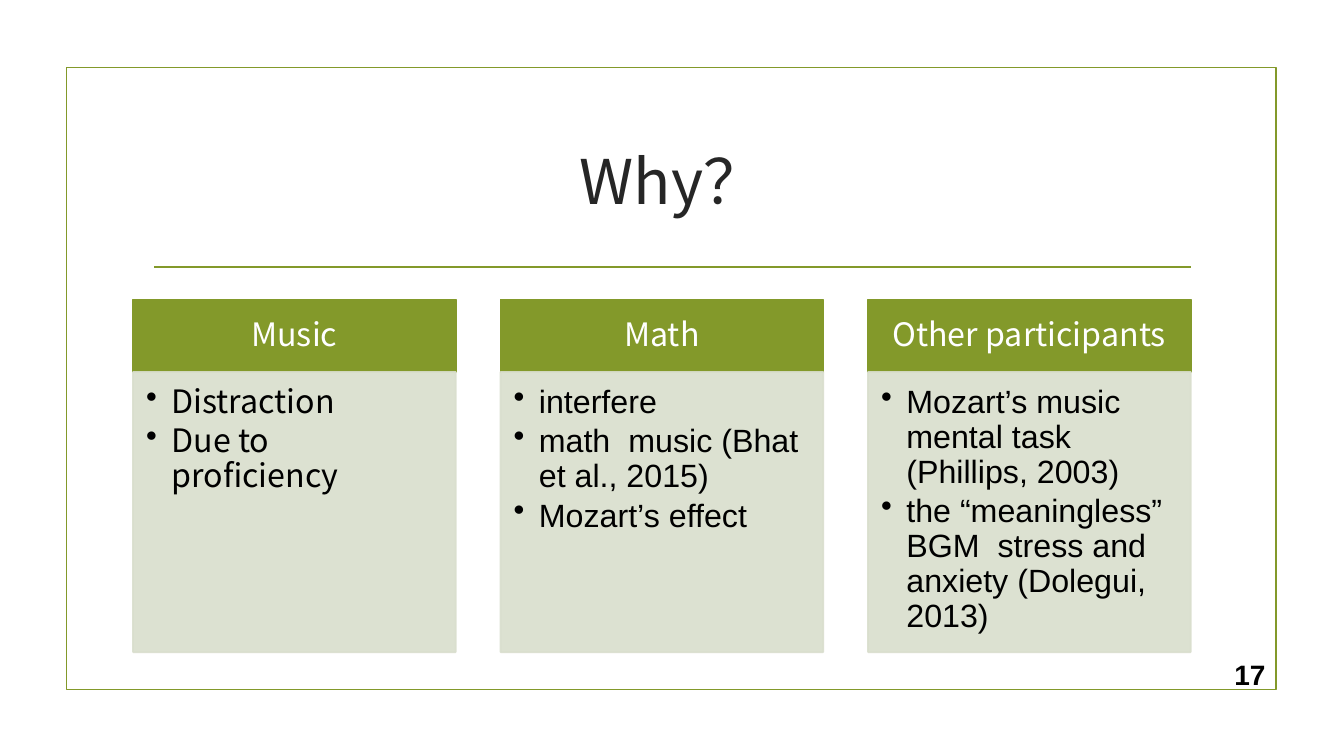
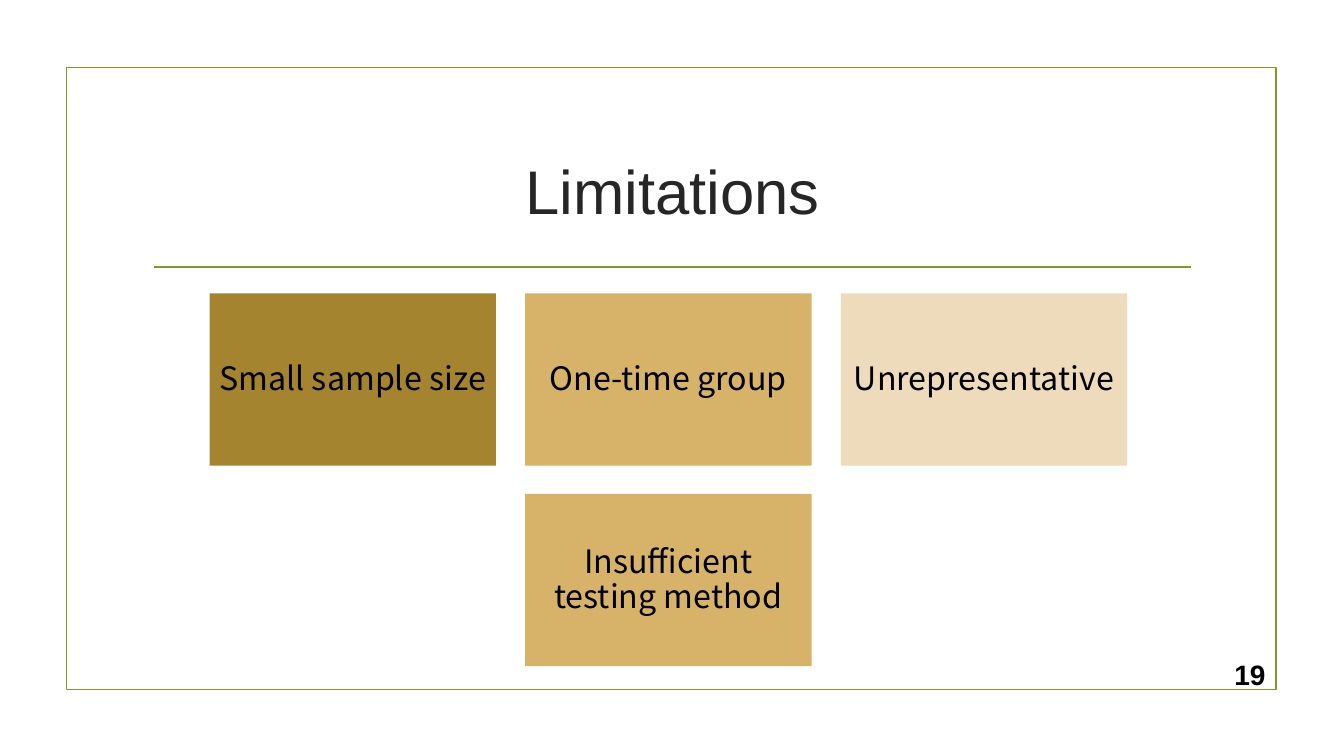
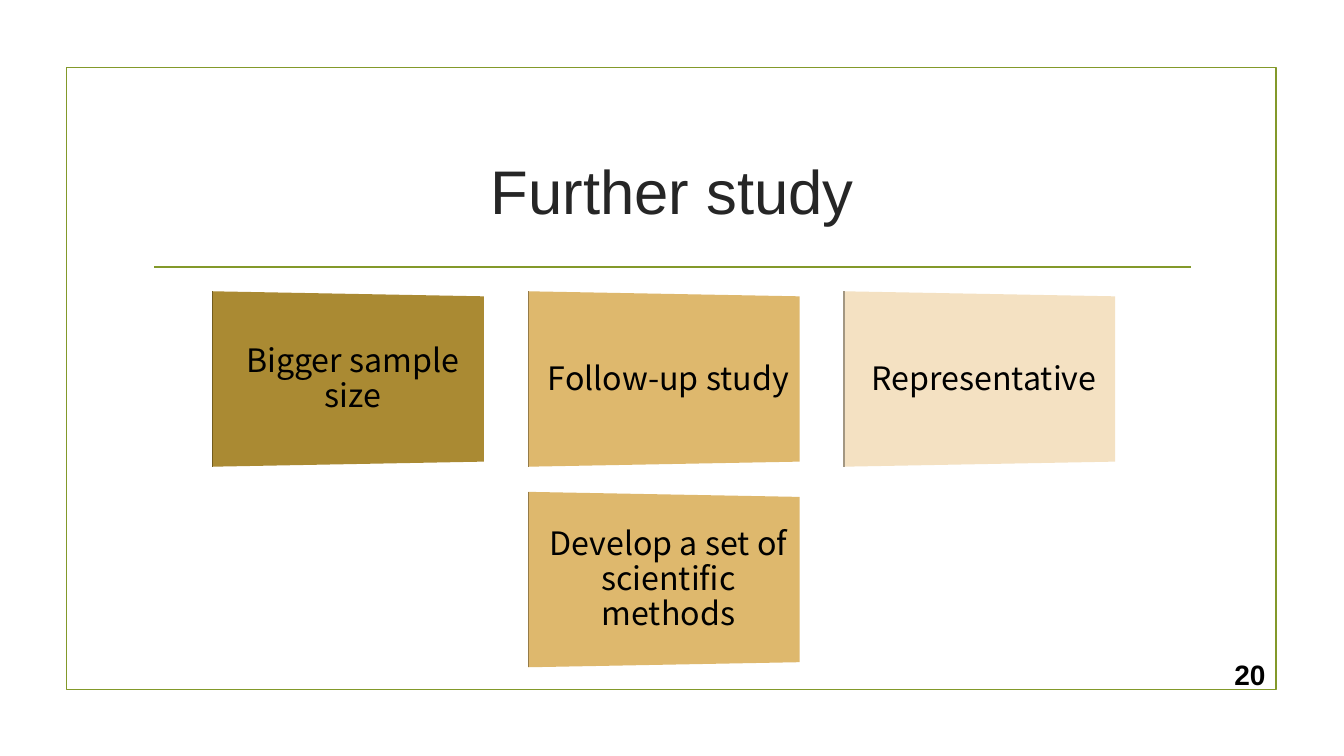
from dataclasses import dataclass

from lxml.etree import SubElement
from pptx import Presentation
from pptx.dml.color import RGBColor
from pptx.enum.shapes import MSO_CONNECTOR as Link, MSO_SHAPE as Kind
from pptx.enum.text import MSO_ANCHOR as Anchor, MSO_AUTO_SIZE as Fit, PP_ALIGN as Align
from pptx.oxml.ns import qn
from pptx.shapes.autoshape import Shape
from pptx.slide import Slide
from pptx.util import Inches, Pt


@dataclass(frozen=True)
class Theme:
    green: str = "83992A"
    pale: str = "D9DECD"
    ink: str = "262626"
    black: str = "000000"
    white: str = "FFFFFF"
    arial: str = "Arial"
    noto: str = "Noto Sans CJK SC"
    head: int = 44
    text: int = 23
    lead: int = 25
    page: int = 20
    line: float = 1.25
    opaque: int = 90


@dataclass(frozen=True)
class Box:
    x: float
    y: float
    w: float
    h: float

    def args(self) -> tuple:
        return tuple(Inches(v) for v in (self.x, self.y, self.w, self.h))


@dataclass(frozen=True)
class Column:
    head: str
    items: tuple[str, ...]
    font: str


@dataclass(frozen=True)
class Tone:
    flat: str
    lit: str
    edge: str


THEME = Theme()
DARK = Tone("A4842F", "AA8A33", "735C1E")
MID = Tone("D6B369", "DEB86D", "957B48")
LIGHT = Tone("EEDBBC", "F4E1C2", "A39782")
TONES = (DARK, MID, LIGHT, MID)
SPOTS = ((0, 0), (1, 0), (2, 0), (1, 1))

COLUMNS = (
    Column("Music", ("Distraction", "Due to proficiency"), THEME.noto),
    Column("Math", ("interfere", "math  music (Bhat et al., 2015)", "Mozart’s effect"), THEME.arial),
    Column(
        "Other participants",
        (
            "Mozart’s music  mental task (Phillips, 2003)",
            "the “meaningless” BGM  stress and anxiety (Dolegui, 2013)",
        ),
        THEME.arial,
    ),
)
LIMITS = ("Small sample size", "One-time group", "Unrepresentative", "Insufficient testing method")
PLANS = ("Bigger sample size", "Follow-up study", "Representative", "Develop a set of scientific methods")


def rgb(code: str) -> RGBColor:
    return RGBColor.from_string(code)


def paint(shape: Shape, fill: str | None, line: str | None) -> None:
    shape.shadow.inherit = False
    if fill:
        shape.fill.solid()
        shape.fill.fore_color.rgb = rgb(fill)
    else:
        shape.fill.background()
    if line:
        shape.line.color.rgb = rgb(line)
        shape.line.width = Pt(THEME.line)
    else:
        shape.line.fill.background()


def block(slide: Slide, box: Box, fill: str | None, line: str | None) -> Shape:
    shape = slide.shapes.add_shape(Kind.RECTANGLE, *box.args())
    paint(shape, fill, line)
    return shape


def fade(shape: Shape) -> None:
    for node in shape.element.spPr.iter(qn("a:srgbClr")):
        SubElement(node, qn("a:alpha")).set("val", str(THEME.opaque * 1000))


def stroke(slide: Slide, start: tuple, end: tuple, color: str, width: float) -> None:
    line = slide.shapes.add_connector(Link.STRAIGHT, *(Inches(v) for v in start + end))
    line.line.color.rgb = rgb(color)
    line.line.width = Pt(width)
    SubElement(line.element.spPr, qn("a:effectLst"))


def write(shape: Shape, lines: tuple[str, ...], size: int, color: str, font: str,
          align: Align = Align.CENTER, anchor: Anchor = Anchor.MIDDLE,
          pads: tuple | None = None, lead: int | None = None) -> None:
    frame = shape.text_frame
    frame.word_wrap = True
    frame.auto_size = Fit.NONE
    frame.vertical_anchor = anchor
    if pads:
        (frame.margin_left, frame.margin_top,
         frame.margin_right, frame.margin_bottom) = (Inches(v) for v in pads)
    frame.text = "\n".join(lines)
    for para in frame.paragraphs:
        para.alignment = align
        para.font.size = Pt(size)
        para.font.name = font
        para.font.color.rgb = rgb(color)
        if lead:
            para.line_spacing = Pt(lead)


def bullet(shape: Shape) -> None:
    for para in shape.text_frame.paragraphs:
        para.space_after = Pt(3)
        props = para._p.get_or_add_pPr()
        props.set("marL", str(Inches(0.25)))
        props.set("indent", str(-Inches(0.25)))
        mark = props.makeelement(qn("a:buChar"), {"char": "•"})
        props.insert_element_before(mark, "a:tabLst", "a:defRPr", "a:extLst")


def start(deck: Presentation, title: str, page: int, box: Box, font: str) -> Slide:
    slide = deck.slides.add_slide(deck.slide_layouts[5])
    block(slide, Box(0.66, 0.67, 12, 6.17), None, THEME.green)
    stroke(slide, (1.53, 2.65), (11.81, 2.65), THEME.green, THEME.line)
    head = slide.shapes.title
    head.left, head.top, head.width, head.height = box.args()
    write(head, (title,), THEME.head, THEME.ink, font)
    foot = slide.shapes.add_textbox(*Box(12.06, 6.53, 0.59, 0.31).args())
    write(foot, (str(page),), THEME.page, THEME.black, THEME.arial, Align.RIGHT)
    foot.text_frame.paragraphs[0].font.bold = True
    return slide


def table(slide: Slide, columns: tuple[Column, ...]) -> None:
    for i, col in enumerate(columns):
        x = 1.32 + i * 3.645
        top = block(slide, Box(x, 2.97, 3.2, 0.72), THEME.green, THEME.green)
        write(top, (col.head,), THEME.text, THEME.white, THEME.noto,
              pads=(0.18, 0.1, 0.18, 0.1), lead=THEME.lead)
        body = block(slide, Box(x, 3.69, 3.2, 2.78), THEME.pale, THEME.pale)
        fade(body)
        write(body, col.items, THEME.text, THEME.black, col.font, Align.LEFT, Anchor.TOP,
              (0.13, 0.13, 0.18, 0.2), THEME.lead)
        bullet(body)


def panel(slide: Slide, box: Box, tone: Tone) -> Shape:
    left, right = box.x + 0.03, box.x + 2.72
    top, base = box.y - 0.02, box.y + box.h + 0.01
    slant = 0.05
    points = ((right, top + slant), (right, base - slant), (left, base))
    form = slide.shapes.build_freeform(Inches(left), Inches(top))
    form.add_line_segments([(Inches(x), Inches(y)) for x, y in points], close=True)
    shape = form.convert_to_shape()
    paint(shape, tone.lit, None)
    stroke(slide, (left, top), (left, base), tone.edge, 1)
    return shape


def tiles(slide: Slide, labels: tuple[str, ...], tilt: bool) -> None:
    for label, tone, (col, row) in zip(labels, TONES, SPOTS):
        box = Box(2.08 + col * 3.13, 2.91 + row * 1.99, 2.84, 1.71)
        shape = panel(slide, box, tone) if tilt else block(slide, box, tone.flat, None)
        pads = (0.09, 0.1, 0, 0.1) if tilt else (0.08, 0.1, 0.08, 0.1)
        write(shape, (label,), THEME.text, THEME.black, THEME.noto, pads=pads, lead=THEME.lead)


def main() -> None:
    deck = Presentation()
    deck.slide_width, deck.slide_height = Inches(13.33), Inches(7.5)
    wide = Box(0.92, 1.16, 11.5, 1.45)
    table(start(deck, "Why？", 17, Box(1.42, 1.07, 10.5, 1.43), THEME.noto), COLUMNS)
    tiles(start(deck, "Limitations", 19, wide, THEME.arial), LIMITS, False)
    tiles(start(deck, "Further study", 20, wide, THEME.arial), PLANS, True)
    deck.save("out.pptx")


if __name__ == "__main__":
    main()
